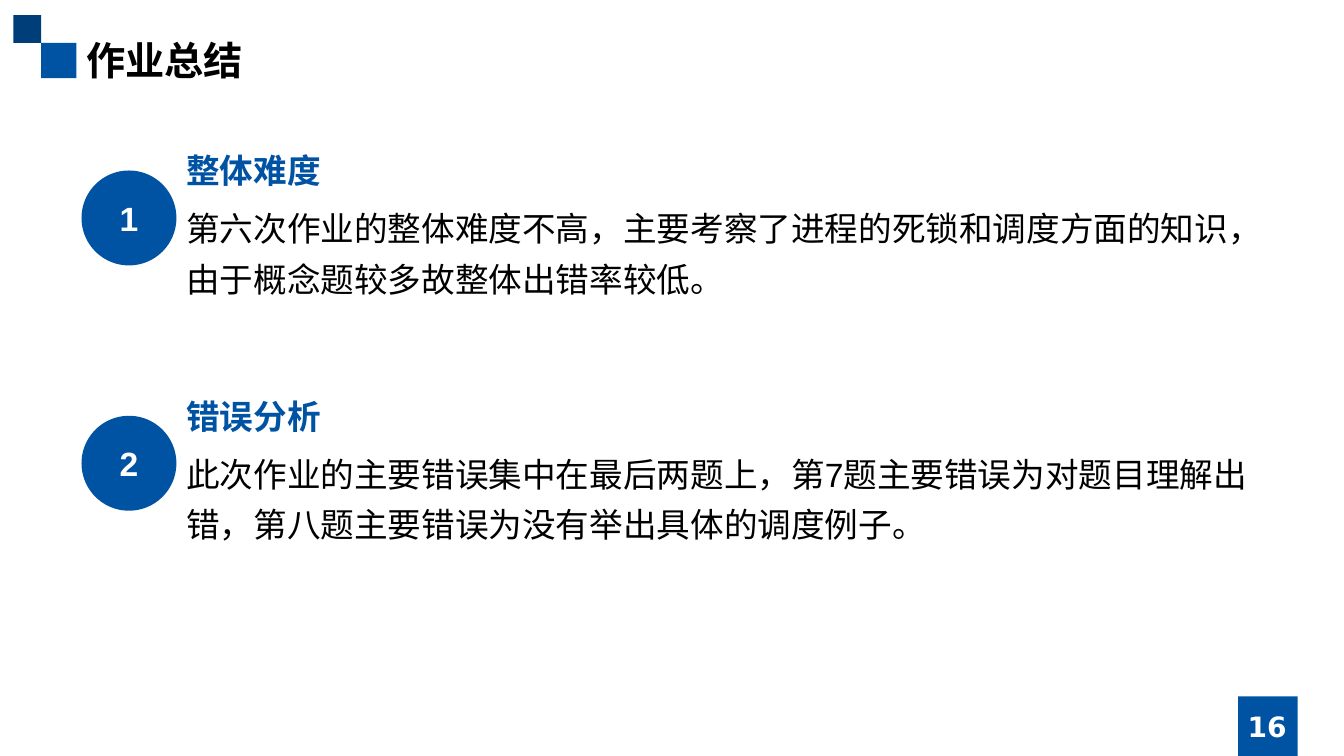
"""Build the homework summary slide."""
from lxml import etree
from pptx import Presentation
from pptx.dml.color import RGBColor
from pptx.enum.shapes import MSO_SHAPE
from pptx.enum.text import MSO_ANCHOR, MSO_AUTO_SIZE, PP_ALIGN
from pptx.oxml.ns import qn
from pptx.util import Inches, Pt

RECTANGLE, OVAL = MSO_SHAPE.RECTANGLE, MSO_SHAPE.OVAL
LEFT, CENTER = PP_ALIGN.LEFT, PP_ALIGN.CENTER
TOP, MIDDLE = MSO_ANCHOR.TOP, MSO_ANCHOR.MIDDLE
NO_FIT = MSO_AUTO_SIZE.NONE
TITLE_ONLY = 5
COLUMNS, ROWS = 160, 90
COLORS = {"blue": "0053A3", "navy": "003E7A", "black": "000000", "white": "FFFFFF"}
CJK_FONT, BODY_FONT, NUMBER_FONT = "Noto Sans CJK SC", "Arial", "DejaVu Sans"
SECTION_TOP, SECTION_PITCH = 17.3, 29.2
SECTIONS = [
    ("整体难度", "第六次作业的整体难度不高，主要考察了进程的死锁和调度方面的知识，由于概念题较多故整体出错率较低。"),
    ("错误分析", "此次作业的主要错误集中在最后两题上，第7题主要错误为对题目理解出错，第八题主要错误为没有举出具体的调度例子。"),
]


class SlideBuilder:
    """Place styled elements on a grid of columns and rows."""

    def __init__(self, deck):
        self.column = deck.slide_width / COLUMNS
        self.row = deck.slide_height / ROWS
        self.page = deck.slides.add_slide(deck.slide_layouts[TITLE_ONLY])

    def area(self, left, top, width, height):
        return (round(left * self.column), round(top * self.row),
                round(width * self.column), round(height * self.row))

    def fill_text(self, box, text, size, color, font=BODY_FONT, bold=False,
                  align=LEFT, anchor=TOP, spacing=1.0):
        frame = box.text_frame
        frame.word_wrap = True
        frame.auto_size = NO_FIT
        frame.vertical_anchor = anchor
        para = frame.paragraphs[0]
        para.text = text
        para.alignment = align
        para.line_spacing = spacing
        para.font.name = font
        para.font.size = Pt(size)
        para.font.bold = bold
        para.font.color.rgb = RGBColor.from_string(COLORS[color])
        east_asian = etree.SubElement(para._p.pPr.find(qn("a:defRPr")), qn("a:ea"))
        east_asian.set("typeface", CJK_FONT)

    def title(self, text, area, **style):
        box = self.page.shapes.title
        box.left, box.top, box.width, box.height = self.area(*area)
        self.fill_text(box, text, **style)

    def text(self, text, area, **style):
        self.fill_text(self.page.shapes.add_textbox(*self.area(*area)), text, **style)

    def shape(self, kind, area, color):
        shape = self.page.shapes.add_shape(kind, *self.area(*area))
        shape.shadow.inherit = False
        shape.fill.solid()
        shape.fill.fore_color.rgb = RGBColor.from_string(COLORS[color])
        shape.line.fill.background()
        return shape

    def section(self, number, top, heading, body):
        badge = self.shape(OVAL, (9.7, top + 3, 11.3, 11.3), "blue")
        self.fill_text(badge, str(number), size=24, color="white", bold=True,
                       align=CENTER, anchor=MIDDLE)
        self.text(body, (21, top + 5.7, 130, 12.7), size=24, color="black", spacing=1.25)
        self.text(heading, (21, top, 130, 6), size=24, color="blue", bold=True)


def main():
    deck = Presentation()
    deck.slide_width, deck.slide_height = Inches(13.33), Inches(7.5)
    builder = SlideBuilder(deck)
    builder.shape(RECTANGLE, (4.9, 5.1, 4.2, 4.2), "blue")
    builder.shape(RECTANGLE, (1.6, 1.8, 3.3, 3.3), "navy")
    builder.shape(RECTANGLE, (147.4, 82.9, 7.1, 7.1), "blue")
    builder.title("作业总结", (9.1, 3.7, 141.7, 6.8), size=28, color="black",
                  font=CJK_FONT, bold=True)
    builder.text("16", (141.7, 84.1, 18.3, 4.8), size=20, color="white",
                 font=NUMBER_FONT, bold=True, align=CENTER, anchor=MIDDLE)
    for index, (heading, body) in enumerate(SECTIONS):
        builder.section(index + 1, SECTION_TOP + index * SECTION_PITCH, heading, body)
    deck.save("out.pptx")


if __name__ == "__main__":
    main()
